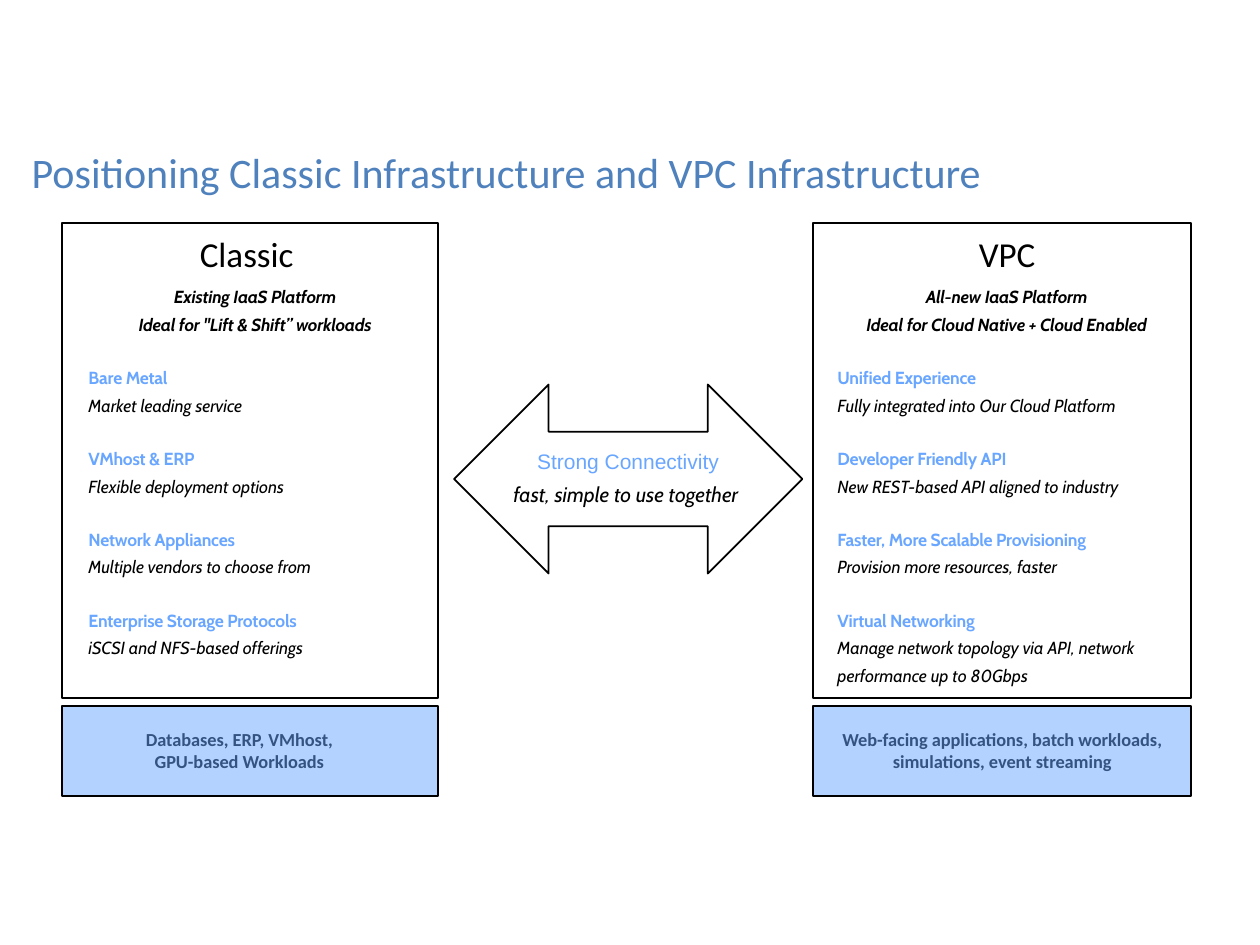
from lxml.etree import SubElement
from pptx import Presentation
from pptx.dml.color import RGBColor
from pptx.enum.shapes import MSO_SHAPE as Shape
from pptx.enum.text import MSO_ANCHOR as Anchor, PP_ALIGN as Align
from pptx.oxml.ns import qn
from pptx.util import Pt

BLACK = RGBColor(0x00, 0x00, 0x00)
SKY = RGBColor(0x69, 0xA6, 0xFF)
STEEL = RGBColor(0x4F, 0x81, 0xBD)

PANEL_TOP, PANEL_HEIGHT = 127.5, 271.5
FOOTER_TOP, FOOTER_HEIGHT = 403.5, 51.25

COLUMNS = [
    {
        "panel": (35.5, 215),
        "title": ("Classic", 69, 144),
        "body": (43.5, 204.5),
        "intro": ["Existing IaaS Platform", "Ideal for \"Lift & Shift” workloads"],
        "features": [
            ("Bare Metal", "Market leading service"),
            ("VMhost & ERP", "Flexible deployment options"),
            ("Network Appliances", "Multiple vendors to choose from"),
            ("Enterprise Storage Protocols", "iSCSI and NFS-based offerings"),
        ],
        "footer": ("Databases, ERP, VMhost, \nGPU-based Workloads ", 43.5, 189),
    },
    {
        "panel": (464.5, 216),
        "title": ("VPC", 458.5, 234),
        "body": (471.5, 207.5),
        "intro": ["All-new IaaS Platform", "Ideal for Cloud Native + Cloud Enabled"],
        "features": [
            ("Unified Experience", "Fully integrated into Our Cloud Platform"),
            ("Developer Friendly API", "New REST-based API aligned to industry"),
            ("Faster, More Scalable Provisioning", "Provision more resources, faster"),
            ("Virtual Networking",
             "Manage network topology via API, network performance up to 80Gbps"),
        ],
        "footer": ("Web-facing applications, batch workloads, simulations, event streaming",
                   460, 225.5),
    },
]


class SlideBuilder:
    """Holds the slide style and draws each kind of element on the current page."""

    def __init__(self, page):
        self.page = page

    def shape(self, kind, left, top, width, height, fill=None, opacity=100):
        box = self.page.shapes.add_shape(kind, Pt(left), Pt(top), Pt(width), Pt(height))
        box.shadow.inherit = False
        box.line.color.rgb = BLACK
        box.line.width = Pt(1)
        if fill is None:
            box.fill.background()
        else:
            box.fill.solid()
            box.fill.fore_color.rgb = fill
            color = box.fill._xPr.find(qn("a:solidFill"))[0]
            SubElement(color, qn("a:alpha")).set("val", str(opacity * 1000))
        return box

    def text_box(self, left, top, width, height):
        box = self.page.shapes.add_textbox(Pt(left), Pt(top), Pt(width), Pt(height))
        box.text_frame.word_wrap = True
        return box.text_frame

    def para(self, frame, text, size, font="Calibri", color=BLACK, bold=False, italic=False,
             align=Align.LEFT, spacing=0.9, before=0, tracking=0):
        para = frame.add_paragraph() if frame.text else frame.paragraphs[0]
        para.text = text
        para.alignment = align
        para.line_spacing = spacing
        para.space_before = Pt(before)
        for span in para.runs:
            span.font.name = font
            span.font.size = Pt(size)
            span.font.bold = bold
            span.font.italic = italic
            span.font.color.rgb = color
            if tracking:
                span._r.get_or_add_rPr().set("spc", str(int(tracking * 100)))

    def arrow(self, left, top, width, height, heading, caption):
        frame = self.shape(Shape.LEFT_RIGHT_ARROW, left, top, width, height).text_frame
        frame.word_wrap = True
        frame.vertical_anchor = Anchor.MIDDLE
        frame.margin_left = frame.margin_right = frame.margin_top = frame.margin_bottom = 0
        self.para(frame, heading, 12, "Arial", SKY, align=Align.CENTER)
        self.para(frame, caption, 12, "Cabin", italic=True, align=Align.CENTER, spacing=1.3)

    def column(self, panel, title, body, intro, features, footer):
        left, width = panel
        self.shape(Shape.RECTANGLE, left, PANEL_TOP, width, PANEL_HEIGHT)

        name, name_left, name_width = title
        frame = self.text_box(name_left, 132, name_width, 28.8)
        self.para(frame, name, 20, align=Align.CENTER)

        frame = self.text_box(body[0], 156.5, body[1], 242)
        style = {"size": 10, "font": "Cabin", "spacing": 1.3}
        for line in intro:
            self.para(frame, line, bold=True, italic=True, align=Align.CENTER,
                      tracking=-0.1, **style)
        for heading, detail in features:
            self.para(frame, heading, color=SKY, bold=True, before=15, tracking=-0.1, **style)
            self.para(frame, detail, italic=True, **style)

        summary, text_left, text_width = footer
        frame = self.text_box(text_left, 412.5, text_width, 33)
        self.para(frame, summary, 10.5, bold=True, align=Align.CENTER, spacing=1.0)
        self.shape(Shape.RECTANGLE, left, FOOTER_TOP, width, FOOTER_HEIGHT, SKY, 50)


def main():
    deck = Presentation()
    deck.slide_width, deck.slide_height = Pt(720), Pt(540)
    builder = SlideBuilder(deck.slides.add_slide(deck.slide_layouts[6]))
    title = builder.text_box(11, 83.5, 627, 37.5)
    builder.para(title, "Positioning Classic Infrastructure and VPC Infrastructure", 24,
                 color=STEEL)
    for column in COLUMNS:
        builder.column(**column)
    builder.arrow(259.5, 219.75, 199, 108, "Strong Connectivity", "fast, simple to use together ")
    deck.save("out.pptx")


if __name__ == "__main__":
    main()
